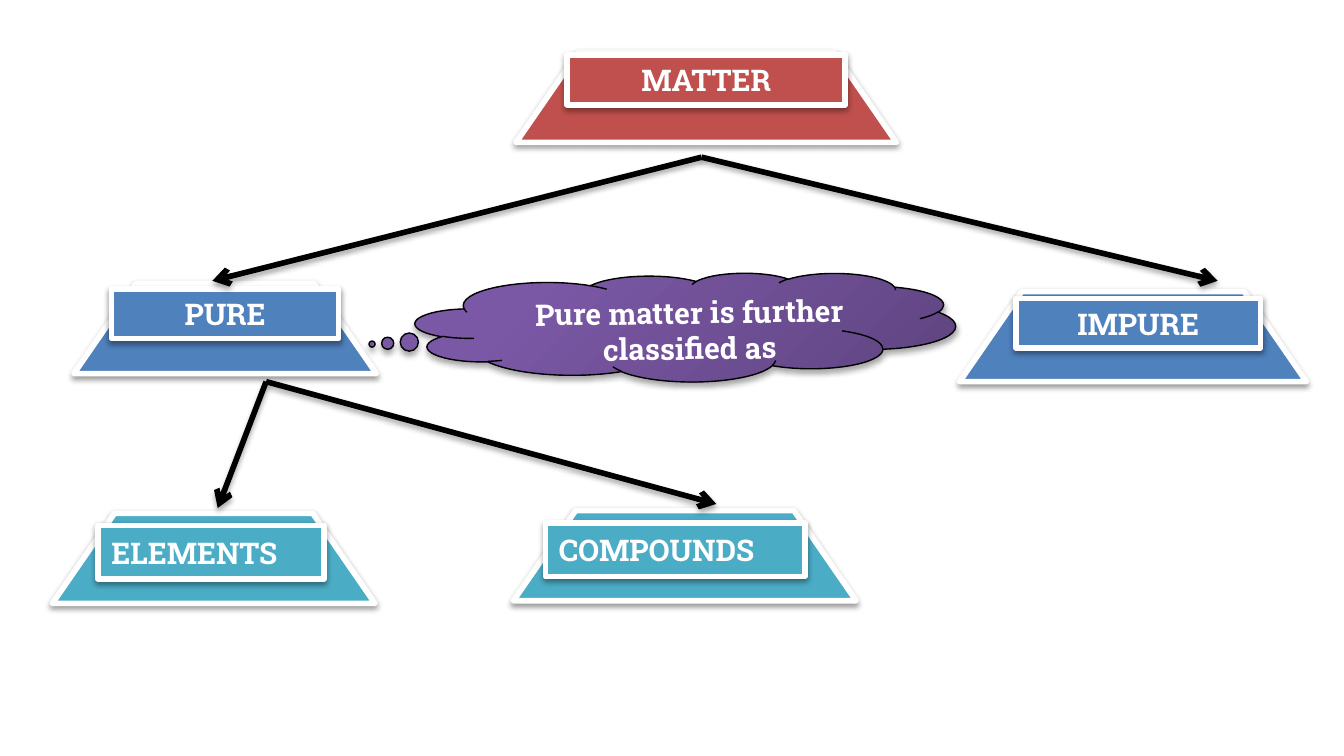
from lxml import etree
from pptx import Presentation
from pptx.dml.color import RGBColor
from pptx.enum.shapes import MSO_CONNECTOR, MSO_SHAPE
from pptx.enum.text import MSO_ANCHOR, PP_ALIGN
from pptx.oxml import parse_xml
from pptx.oxml.ns import nsdecls, qn
from pptx.util import Inches, Pt

WHITE = RGBColor(0xFF, 0xFF, 0xFF)
BLACK = RGBColor(0x00, 0x00, 0x00)
RED = RGBColor(0xC0, 0x50, 0x4D)
BLUE = RGBColor(0x4F, 0x81, 0xBD)
TEAL = RGBColor(0x4B, 0xAC, 0xC6)
PURPLES = [(0, RGBColor(0x5F, 0x44, 0x80)), (80, RGBColor(0x7B, 0x58, 0xA6)),
           (100, RGBColor(0x7C, 0x57, 0xA8))]


def write(sp, text, align=PP_ALIGN.CENTER, size=16, font="Roboto Slab", color=WHITE):
    tf = sp.text_frame
    tf.word_wrap = True
    tf.vertical_anchor = MSO_ANCHOR.MIDDLE
    tf.text = text
    for p in tf.paragraphs:
        p.alignment = align
        for r in p.runs:
            r.font.size = Pt(size)
            r.font.name = font
            r.font.bold = True
            r.font.color.rgb = color


def outline_and_shade(sp, color, width, distance, alpha):
    """Set the line, then a soft shadow that falls straight down."""
    sp.line.color.rgb = color
    sp.line.width = Pt(width)
    sp._element.spPr.append(parse_xml(
        f'<a:effectLst {nsdecls("a")}><a:outerShdw blurRad="{Pt(3.1)}" dist="{Pt(distance)}" '
        f'dir="5400000" rotWithShape="0"><a:srgbClr val="{BLACK}">'
        f'<a:alpha val="{alpha * 1000}"/></a:srgbClr></a:outerShdw></a:effectLst>'))


prs = Presentation()
prs.slide_width = Inches(10)
prs.slide_height = prs.slide_width * 9 // 16
s = prs.slides.add_slide(prs.slide_layouts[6])

# Each class: base (left, top, width) and label (left, top, width, height)
classes = [
    ("PURE", BLUE, (0.55, 2.11, 2.25), (0.83, 2.15, 1.69, 0.37), PP_ALIGN.CENTER),
    ("ELEMENTS", TEAL, (0.39, 3.82, 2.4), (0.73, 3.91, 1.68, 0.4), PP_ALIGN.LEFT),
    ("COMPOUNDS", TEAL, (3.82, 3.8, 2.55), (4.06, 3.89, 1.93, 0.4), PP_ALIGN.LEFT),
    ("MATTER", RED, (3.84, 0.39, 2.83), (4.22, 0.41, 2.07, 0.37), PP_ALIGN.CENTER),
    ("IMPURE", BLUE, (7.14, 2.17, 2.58), (7.56, 2.22, 1.82, 0.37), PP_ALIGN.CENTER),
]
for name, color, base_box, label_box, align in classes:
    base = s.shapes.add_shape(MSO_SHAPE.TRAPEZOID, *map(Inches, base_box), Inches(0.67))
    base.adjustments[0] = 0.69
    label = s.shapes.add_shape(MSO_SHAPE.RECTANGLE, *map(Inches, label_box))
    for sp in (base, label):
        sp.fill.solid()
        sp.fill.fore_color.rgb = color
        outline_and_shade(sp, WHITE, 3, 1.6, 38)
    write(label, name, align=align)

# Arrows from each class to its two branches
for start, ends in [((5.22, 1.17), [(1.58, 2.09), (9.06, 2.09)]),
                    ((1.98, 2.84), [(1.62, 3.78), (5.33, 3.75)])]:
    for end in ends:
        arrow = s.shapes.add_connector(MSO_CONNECTOR.STRAIGHT, *map(Inches, start + end))
        outline_and_shade(arrow, BLACK, 3, 1.8, 35)
        etree.SubElement(arrow.line._get_or_add_ln(), qn("a:tailEnd"), type="arrow")

# Thought cloud with its tilted caption
cloud = s.shapes.add_shape(MSO_SHAPE.CLOUD_CALLOUT, Inches(3.09), Inches(2.03),
                           Inches(4.02), Inches(0.81))
cloud.adjustments[0], cloud.adjustments[1] = -0.58, 0.16
cloud.rotation = 0.1
cloud.fill.gradient()
cloud.fill.gradient_angle = 135
stops = cloud._element.spPr.find(qn("a:gradFill")).find(qn("a:gsLst"))
stops.clear()
for pos, color in PURPLES:
    stop = etree.SubElement(stops, qn("a:gs"), pos=str(pos * 1000))
    etree.SubElement(stop, qn("a:srgbClr"), val=str(color))
outline_and_shade(cloud, BLACK, 0.75, 1.8, 35)

caption = s.shapes.add_textbox(Inches(3.83), Inches(2.14), Inches(2.6), Inches(0.6))
caption.rotation = 359.2
write(caption, "Pure matter is further\nclassified as")
caption.text_frame.vertical_anchor = MSO_ANCHOR.TOP

prs.save("out.pptx")
